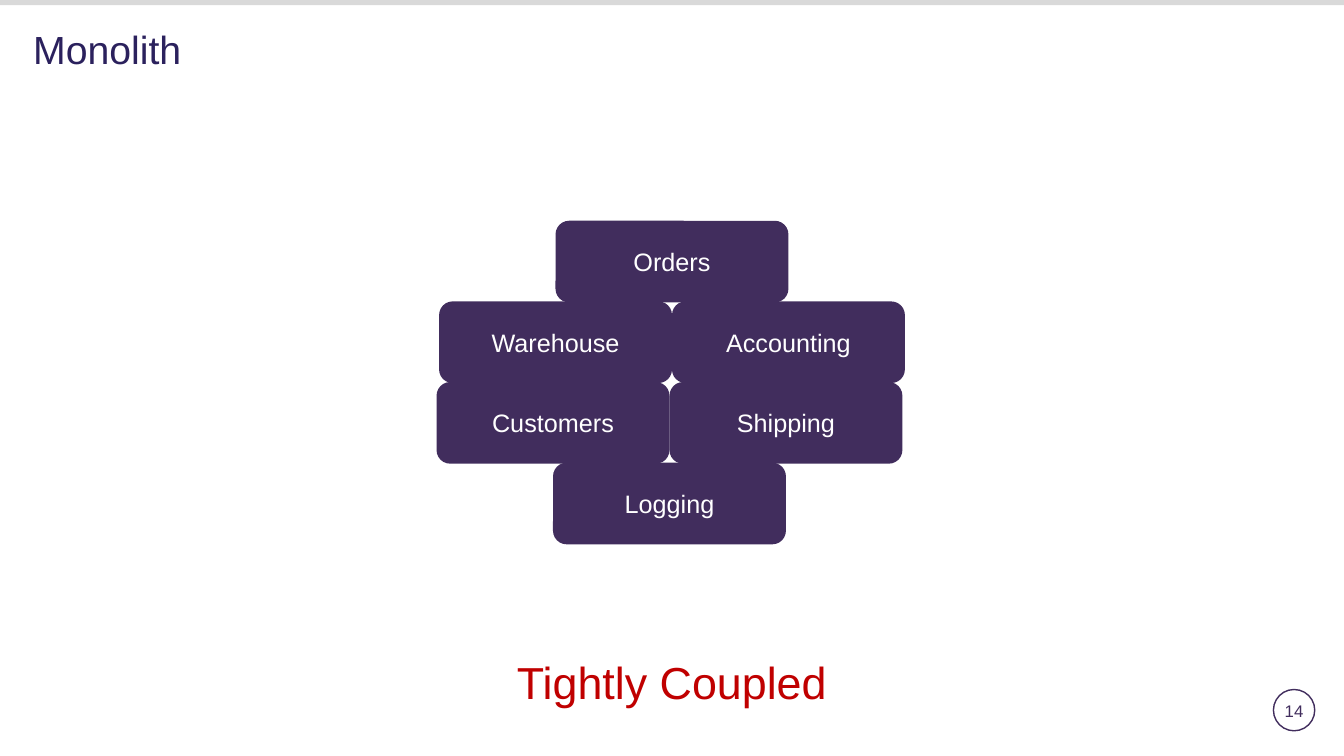
from dataclasses import dataclass

from pptx import Presentation
from pptx.dml.color import RGBColor
from pptx.enum.shapes import MSO_SHAPE
from pptx.enum.text import MSO_ANCHOR, PP_ALIGN
from pptx.util import Inches, Pt

TITLE = "Monolith"
CAPTION = "Tightly Coupled"
PAGE_NUMBER = "14"
# Each row of modules: horizontal centre in inches, module names
MODULE_ROWS = [
    (6.665, ["Orders"]),
    (6.665, ["Warehouse", "Accounting"]),
    (6.64, ["Customers", "Shipping"]),
    (6.64, ["Logging"]),
]
MODULE_WIDTH, MODULE_HEIGHT = 2.31, 0.81
ROWS_TOP, ROW_PITCH = 2.19, 0.8


@dataclass(frozen=True)
class Theme:
    font: str = "Arial"
    purple: str = "412D5D"
    title_color: str = "2B215D"
    red: str = "C00000"
    white: str = "FFFFFF"
    gray: str = "D9D9D9"
    title_size: int = 28
    module_size: int = 18
    caption_size: int = 32
    number_size: int = 12


THEME = Theme()


def write_text(shape, text, *, size, color, align=PP_ALIGN.CENTER,
               anchor=MSO_ANCHOR.MIDDLE, wrap=True,
               insets=(0.1, 0.05, 0.1, 0.05), line_spacing=1.0):
    """Fill a shape with one formatted paragraph; insets run left, top, right, bottom."""
    frame = shape.text_frame
    frame.word_wrap = wrap
    frame.vertical_anchor = anchor
    (frame.margin_left, frame.margin_top,
     frame.margin_right, frame.margin_bottom) = map(Inches, insets)
    paragraph = frame.paragraphs[0]
    paragraph.text = text
    paragraph.alignment = align
    paragraph.line_spacing = line_spacing
    font = paragraph.runs[0].font
    font.name = THEME.font
    font.size = Pt(size)
    font.color.rgb = RGBColor.from_string(color)


def add_box(slide, kind, bounds, fill=None, line=None):
    shape = slide.shapes.add_shape(kind, *map(Inches, bounds))
    shape.shadow.inherit = False
    if fill:
        shape.fill.solid()
        shape.fill.fore_color.rgb = RGBColor.from_string(fill)
    else:
        shape.fill.background()
    if line:
        shape.line.color.rgb = RGBColor.from_string(line)
        shape.line.width = Pt(1)
    else:
        shape.line.fill.background()
    return shape


def add_text(slide, text, bounds, **text_format):
    write_text(slide.shapes.add_textbox(*map(Inches, bounds)), text, **text_format)


def add_modules(slide):
    for row, (center, names) in enumerate(MODULE_ROWS):
        row_left = center - len(names) * MODULE_WIDTH / 2
        for column, name in enumerate(names):
            bounds = (row_left + column * MODULE_WIDTH, ROWS_TOP + row * ROW_PITCH,
                      MODULE_WIDTH, MODULE_HEIGHT)
            module = add_box(slide, MSO_SHAPE.ROUNDED_RECTANGLE, bounds, fill=THEME.purple)
            write_text(module, name, size=THEME.module_size, color=THEME.white)


def main():
    presentation = Presentation()
    presentation.slide_width = Inches(13.33)
    presentation.slide_height = Inches(7.5)
    slide = presentation.slides.add_slide(presentation.slide_layouts[6])

    add_text(slide, PAGE_NUMBER, (12.66, 6.99, 0.35, 0.12), size=THEME.number_size,
             color=THEME.purple, wrap=False, insets=(0, 0, 0, 0))
    add_box(slide, MSO_SHAPE.OVAL, (12.63, 6.84, 0.41, 0.41), line=THEME.purple)
    add_box(slide, MSO_SHAPE.RECTANGLE, (0, -0.03, 13.33, 0.08), fill=THEME.gray)
    add_text(slide, TITLE, (0.33, 0.25, 12.67, 0.57), size=THEME.title_size,
             color=THEME.title_color, align=PP_ALIGN.LEFT, anchor=MSO_ANCHOR.TOP,
             insets=(0, 0.05, 0.1, 0.05), line_spacing=0.9)
    add_modules(slide)
    add_text(slide, CAPTION, (4.02, 6.45, 5.29, 0.64), size=THEME.caption_size,
             color=THEME.red, anchor=MSO_ANCHOR.TOP)

    presentation.save("out.pptx")


if __name__ == "__main__":
    main()
